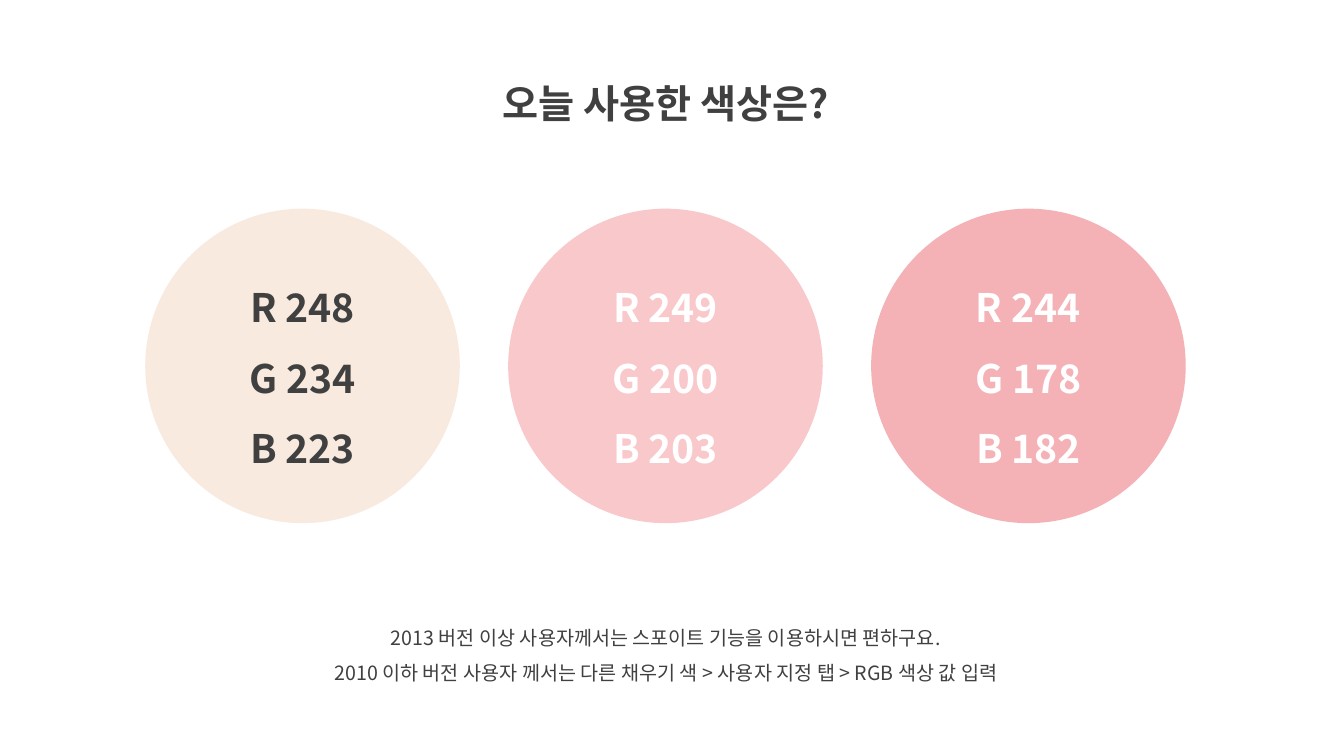
import pptx
import pptx.util
import pptx.dml.color
import pptx.enum.shapes
import pptx.enum.text
import pptx.oxml.ns
import lxml.etree

FONT = "Noto Sans CJK KR"
COLORS = {
    "ink": "404040",
    "white": "FFFFFF",
    "cream": "F8EADF",
    "pink": "F9C8CB",
    "rose": "F4B2B6",
}
TITLE = ["오늘 사용한 색상은?"]
TIPS = [
    "2013 버전 이상 사용자께서는 스포이트 기능을 이용하시면 편하구요.",
    "2010 이하 버전 사용자 께서는 다른 채우기 색 > 사용자 지정 탭 > RGB 색상 값 입력",
]
SWATCHES = [("cream", "ink"), ("pink", "white"), ("rose", "white")]

SLIDE_WIDTH, SLIDE_HEIGHT = 13.33, 7.5
TITLE_AREA = (4.29, 0.5, 4.63, 0.72)
TIPS_AREA = (2.61, 6.04, 7.99, 0.81)
CIRCLE_LEFT, CIRCLE_TOP = 1.44, 2.07
CIRCLE_SIZE, CIRCLE_PITCH = 3.12, 3.6


def rgb(name):
    return pptx.dml.color.RGBColor.from_string(COLORS[name])


def inches(area):
    return [pptx.util.Inches(length) for length in area]


def write_lines(frame, lines, size, color, bold):
    frame.word_wrap = True
    for index, line in enumerate(lines):
        para = frame.add_paragraph() if index else frame.paragraphs[0]
        para.text = line
        para.alignment = pptx.enum.text.PP_ALIGN.CENTER
        para.line_spacing = 1.5
        font = para.font
        font.size = pptx.util.Pt(size)
        font.bold = bold
        font.color.rgb = rgb(color)
        font.name = FONT
        defaults = para._p.pPr.find(pptx.oxml.ns.qn("a:defRPr"))
        east_asian = lxml.etree.SubElement(defaults, pptx.oxml.ns.qn("a:ea"))
        east_asian.set("typeface", FONT)


def add_text(page, area, lines, size, bold):
    box = page.shapes.add_textbox(*inches(area))
    write_lines(box.text_frame, lines, size, "ink", bold)
    box.text_frame.auto_size = pptx.enum.text.MSO_AUTO_SIZE.SHAPE_TO_FIT_TEXT


def add_swatch(page, column, fill, ink):
    left = CIRCLE_LEFT + column * CIRCLE_PITCH
    circle = page.shapes.add_shape(
        pptx.enum.shapes.MSO_SHAPE.OVAL,
        *inches((left, CIRCLE_TOP, CIRCLE_SIZE, CIRCLE_SIZE)),
    )
    circle.shadow.inherit = False
    circle.fill.solid()
    circle.fill.fore_color.rgb = rgb(fill)
    circle.line.fill.background()
    circle.text_frame.vertical_anchor = pptx.enum.text.MSO_ANCHOR.MIDDLE
    lines = [f"{channel} {value}" for channel, value in zip("RGB", rgb(fill))]
    write_lines(circle.text_frame, lines, 28, ink, True)


def main():
    deck = pptx.Presentation()
    deck.slide_width, deck.slide_height = inches((SLIDE_WIDTH, SLIDE_HEIGHT))
    page = deck.slides.add_slide(deck.slide_layouts[6])
    add_text(page, TITLE_AREA, TITLE, 28, True)
    add_text(page, TIPS_AREA, TIPS, 14, False)
    for column, (fill, ink) in enumerate(SWATCHES):
        add_swatch(page, column, fill, ink)
    deck.save("out.pptx")


if __name__ == "__main__":
    main()
